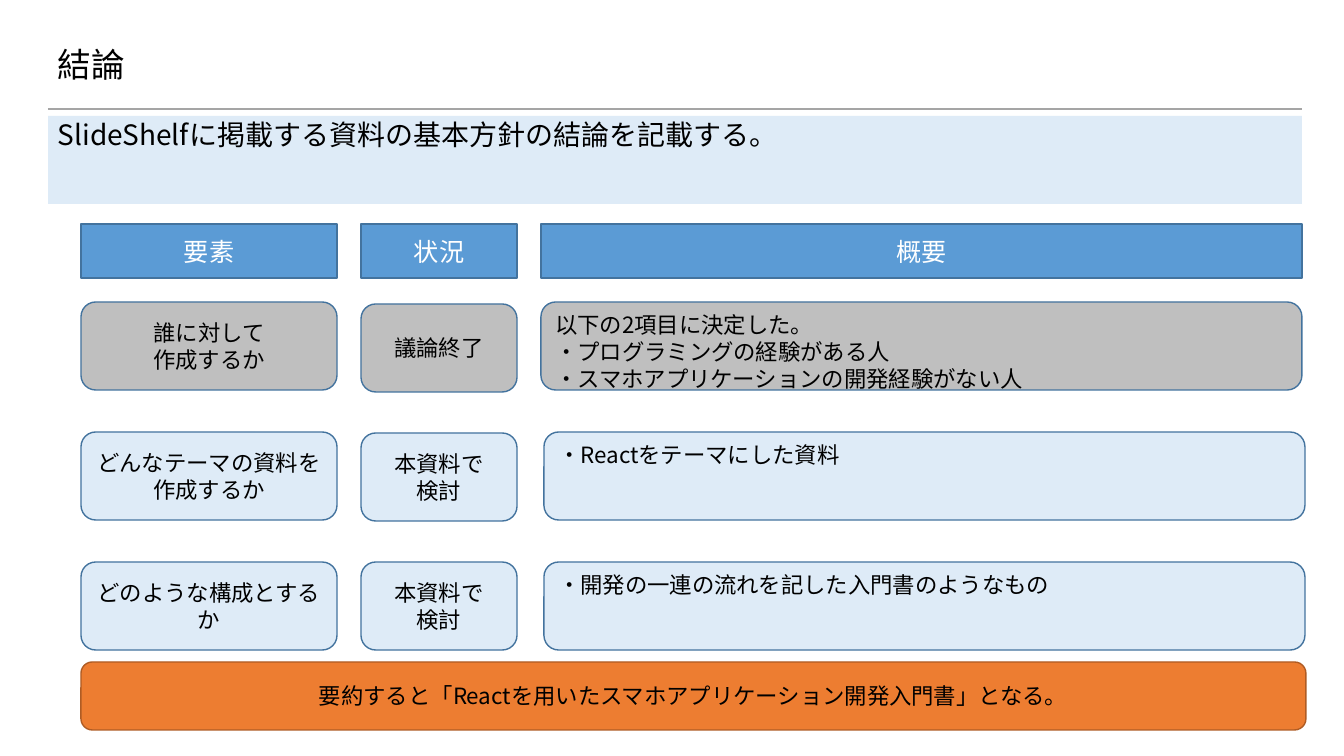
from lxml.etree import SubElement
from pptx import Presentation
from pptx.dml.color import RGBColor
from pptx.enum.shapes import MSO_CONNECTOR, MSO_SHAPE
from pptx.enum.text import MSO_ANCHOR, PP_ALIGN
from pptx.oxml.ns import qn
from pptx.util import Pt

SCALE = 914400 / 100.8
FONT = "Noto Sans CJK JP"
COLORS = {
    "black": "000000",
    "white": "FFFFFF",
    "rule": "A5A5A5",
    "header": "5B9BD5",
    "outline": "43739E",
    "done": "BFBFBF",
    "open": "DEEBF7",
    "summary": "ED7D31",
    "summary_outline": "AF5C24",
}
HEADERS = ["要素", "状況", "概要"]
COLUMNS = [(0, 256), (280, 156), (460, 761)]
ROWS = [
    ("done", "誰に対して\n作成するか", "議論終了",
     "以下の2項目に決定した。\n・プログラミングの経験がある人\n・スマホアプリケーションの開発経験がない人".replace("2", "2")),
    ("open", "どんなテーマの資料を\n作成するか", "本資料で\n検討", "・Reactをテーマにした資料"),
    ("open", "どのような構成とするか", "本資料で\n検討", "・開発の一連の流れを記した入門書のようなもの"),
]
ROW_OFFSETS = [(0, 2, 0), (0, 1, 3), (0, 0, 3)]


def px(value):
    return round(value * SCALE)


def color(name):
    return RGBColor.from_string(COLORS[name])


def write(shape, text, size, text_color="black", align=PP_ALIGN.CENTER, anchor=MSO_ANCHOR.MIDDLE):
    text_frame = shape.text_frame
    text_frame.word_wrap = True
    text_frame.vertical_anchor = anchor
    text_frame.text = text
    for paragraph in text_frame.paragraphs:
        paragraph.alignment = align
        for run in paragraph.runs:
            run.font.size = Pt(size)
            run.font.name = FONT
            run.font.color.rgb = color(text_color)
            SubElement(run.font._element, qn("a:ea")).set("typeface", FONT)


def add_box(slide, kind, box, fill, outline="outline"):
    shape = slide.shapes.add_shape(kind, *map(px, box))
    shape.shadow.inherit = False
    shape.fill.solid()
    shape.fill.fore_color.rgb = color(fill)
    if outline:
        shape.line.color.rgb = color(outline)
        shape.line.width = Pt(1)
    else:
        shape.line.fill.background()
    return shape


def add_heading(slide, left, top, width):
    title = slide.shapes.add_textbox(px(left), px(top), px(1159), px(59))
    write(title, "結論", 24, align=PP_ALIGN.LEFT)
    title.text_frame.paragraphs[0].line_spacing = 0.9

    rule_top = px(top + 72)
    rule = slide.shapes.add_connector(
        MSO_CONNECTOR.STRAIGHT, px(left), rule_top, px(left + width), rule_top)
    rule.line.color.rgb = color("rule")
    rule.line.width = Pt(1.5)
    SubElement(rule._element.spPr, qn("a:effectLst"))

    message = add_box(slide, MSO_SHAPE.RECTANGLE, (left, top + 79, width, 88), "open", None)
    write(message, "SlideShelfに掲載する資料の基本方針の結論を記載する。", 20,
          align=PP_ALIGN.LEFT, anchor=MSO_ANCHOR.TOP)
    message.text_frame.paragraphs[0].line_spacing = 0.9


def add_matrix(slide, left, top):
    for header, (offset, width) in zip(HEADERS, COLUMNS):
        shape = add_box(slide, MSO_SHAPE.RECTANGLE, (left + offset, top, width, 54), "header")
        write(shape, header, 18, "white")
    for index, ((fill, *texts), (_, status_drop, detail_shift)) in enumerate(zip(ROWS, ROW_OFFSETS)):
        row_top = top + 78 + index * 130
        shifts = [(0, 0), (0, status_drop), (detail_shift, 0)]
        for column, (text, (offset, width), (right, down)) in enumerate(zip(texts, COLUMNS, shifts)):
            box = (left + offset + right, row_top + down, width, 88)
            shape = add_box(slide, MSO_SHAPE.ROUNDED_RECTANGLE, box, fill)
            if column == 2:
                write(shape, text, 16, align=PP_ALIGN.LEFT, anchor=MSO_ANCHOR.TOP)
            else:
                write(shape, text, 16)


def add_summary(slide, left, top, width, height):
    shape = add_box(slide, MSO_SHAPE.ROUNDED_RECTANGLE, (left, top, width, height),
                    "summary", "summary_outline")
    write(shape, "要約すると「Reactを用いたスマホアプリケーション開発入門書」となる。", 16)


presentation = Presentation()
presentation.slide_width = px(1344)
presentation.slide_height = px(756)
slide = presentation.slides.add_slide(presentation.slide_layouts[6])
add_heading(slide, 48, 37, 1254)
add_matrix(slide, 81, 224)
add_summary(slide, 81, 662, 1225, 68)
presentation.save("out.pptx")
